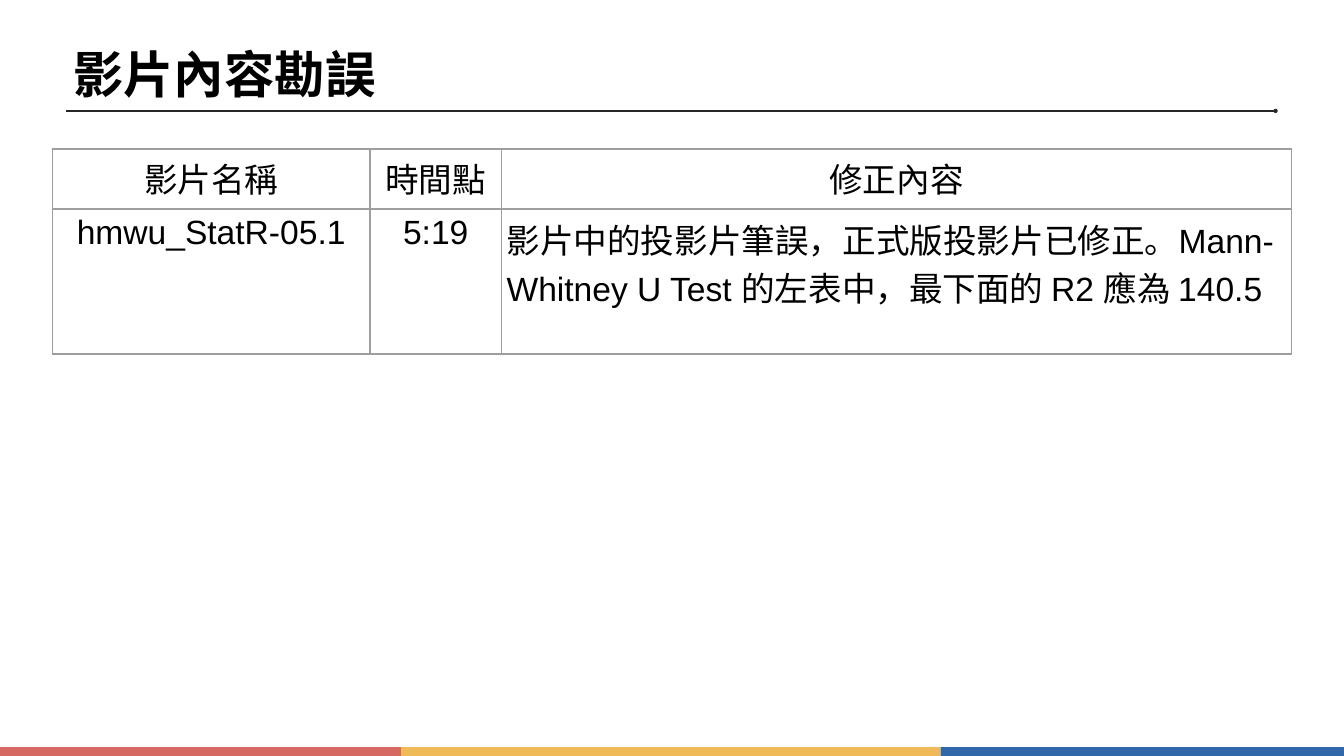
from typing import NamedTuple

from lxml import etree
from pptx import Presentation
from pptx.dml.color import RGBColor
from pptx.enum.shapes import MSO_CONNECTOR, MSO_SHAPE
from pptx.enum.text import MSO_ANCHOR, MSO_AUTO_SIZE, PP_ALIGN
from pptx.oxml.ns import qn
from pptx.util import Pt

LEFT, MID = PP_ALIGN.LEFT, PP_ALIGN.CENTER
TOP, CENTER = MSO_ANCHOR.TOP, MSO_ANCHOR.MIDDLE
RECT, LINE = MSO_SHAPE.RECTANGLE, MSO_CONNECTOR.STRAIGHT
NO_FIT = MSO_AUTO_SIZE.NONE

BLACK = RGBColor(0x00, 0x00, 0x00)
INK = RGBColor(0x26, 0x26, 0x27)
GRAY = RGBColor(0x9E, 0x9E, 0x9E)
RED = RGBColor(0xD6, 0x69, 0x62)
GOLD = RGBColor(0xEF, 0xBA, 0x57)
BLUE = RGBColor(0x30, 0x68, 0xAA)

WIDE, HIGH = 1920, 1080
FONT = "Arial"


class Bar(NamedTuple):
    left: float
    right: float
    color: RGBColor


class Col(NamedTuple):
    width: float
    head: str
    body: str
    align: PP_ALIGN


BARS = [Bar(0, 573, RED), Bar(573, 1344, GOLD), Bar(1344, WIDE, BLUE)]
BAR_TOP = 1067.5

COLS = [
    Col(453.5, "影片名稱", "hmwu_StatR-05.1", MID),
    Col(188, "時間點", "5:19", MID),
    Col(1128.5, "修正內容",
        "影片中的投影片筆誤，正式版投影片已修正。Mann-Whitney U Test 的左表中，"
        "最下面的 R2 應為 140.5", LEFT),
]
ROW = 86.4


def write(frame, text: str, *, size: float, align=LEFT, bold=False) -> None:
    para = frame.paragraphs[0]
    para.alignment = align
    run = para.add_run()
    run.text = text
    font = run.font
    font.name, font.size, font.bold = FONT, Pt(size), bold
    font.color.rgb = BLACK


def pad(box, gap: float) -> None:
    box.margin_left = box.margin_right = Pt(gap)
    box.margin_top = box.margin_bottom = Pt(gap)


def draw_bar(slide, bar: Bar) -> None:
    shape = slide.shapes.add_shape(
        RECT, Pt(bar.left), Pt(BAR_TOP),
        Pt(bar.right - bar.left), Pt(HIGH - BAR_TOP))
    shape.shadow.inherit = False
    shape.fill.solid()
    shape.fill.fore_color.rgb = bar.color
    shape.line.fill.background()


def draw_rule(slide, left: float, right: float, top: float) -> None:
    rule = slide.shapes.add_connector(
        LINE, Pt(left), Pt(top), Pt(right), Pt(top))
    rule.line.color.rgb = INK
    rule.line.width = Pt(2)
    etree.SubElement(rule.line._get_or_add_ln(), qn("a:tailEnd"), type="oval")
    etree.SubElement(rule._element.spPr, qn("a:effectLst"))


def edge(cell) -> None:
    props = cell._tc.get_or_add_tcPr()
    for spot, side in enumerate(("lnL", "lnR", "lnT", "lnB")):
        line = etree.Element(qn(f"a:{side}"), w=str(Pt(3)))
        fill = etree.SubElement(line, qn("a:solidFill"))
        etree.SubElement(fill, qn("a:srgbClr"), val=str(GRAY))
        props.insert(spot, line)


def draw_cell(cell, text: str, align: PP_ALIGN) -> None:
    cell.fill.background()
    cell.vertical_anchor = TOP
    pad(cell, 7.2)
    write(cell.text_frame, text, size=48, align=align)
    edge(cell)


def draw_table(slide, left: float, top: float) -> None:
    width = sum(col.width for col in COLS)
    table = slide.shapes.add_table(
        2, len(COLS), Pt(left), Pt(top), Pt(width), Pt(2 * ROW)).table
    table.first_row = table.horz_banding = False
    for row in table.rows:
        row.height = Pt(ROW)
    for spot, col in enumerate(COLS):
        table.columns[spot].width = Pt(col.width)
        draw_cell(table.cell(0, spot), col.head, MID)
        draw_cell(table.cell(1, spot), col.body, col.align)


def draw_title(slide, text: str) -> None:
    title = slide.shapes.title
    title.left, title.top = Pt(98.6), Pt(45.4)
    title.width, title.height = Pt(1229), Pt(119.5)
    frame = title.text_frame
    frame.word_wrap = True
    frame.auto_size = NO_FIT
    frame.vertical_anchor = CENTER
    pad(frame, 5.8)
    write(frame, text, size=72, bold=True)


def main() -> None:
    deck = Presentation()
    deck.slide_width, deck.slide_height = Pt(WIDE), Pt(HIGH)
    slide = deck.slides.add_slide(deck.slide_layouts[5])

    # Footer stripe and title rule
    for bar in BARS:
        draw_bar(slide, bar)
    draw_rule(slide, 94.3, 1822.3, 158.4)

    # Title and list of corrections
    draw_title(slide, "影片內容勘誤")
    draw_table(slide, 75, 212.5)

    deck.save("out.pptx")


if __name__ == "__main__":
    main()
